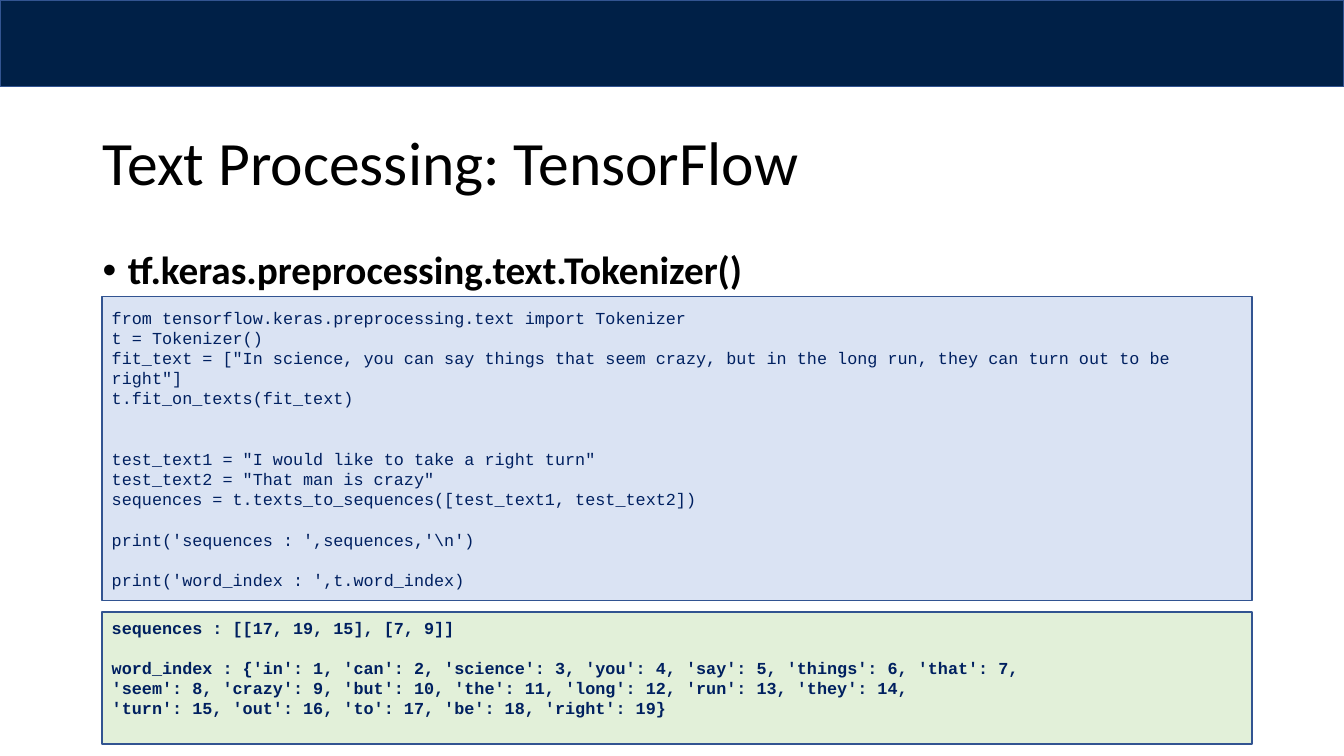
from lxml.etree import SubElement
from pptx import Presentation
from pptx.dml.color import RGBColor
from pptx.enum.shapes import MSO_SHAPE
from pptx.enum.text import MSO_ANCHOR, PP_ALIGN
from pptx.oxml.ns import qn
from pptx.util import Inches, Pt

COLORS = {"band": "002047", "line": "325491", "code": "DAE3F3",
          "output": "E2F0D9", "ink": "002060", "black": "000000"}
WIDTH, HEIGHT = 13.33, 7.5
LEFT, BOX_LEFT, BOX_WIDTH = 0.92, 1.01, 11.41
LINE = 14.4  # height of one code line in points

# Each line of code: (blank lines above, text)
CODE = [
    (0, "from tensorflow.keras.preprocessing.text import Tokenizer"),
    (0, "t = Tokenizer()"),
    (0, 'fit_text = ["In science, you can say things that seem crazy, '
        'but in the long run, they can turn out to be right"]'),
    (0, "t.fit_on_texts(fit_text)"),
    (2, 'test_text1 = "I would like to take a right turn"'),
    (0, 'test_text2 = "That man is crazy"'),
    (0, "sequences = t.texts_to_sequences([test_text1, test_text2])"),
    (1, r"print('sequences : ',sequences,'\n')"),
    (1, "print('word_index : ',t.word_index)"),
]
OUTPUT = [
    (0, "sequences : [[17, 19, 15], [7, 9]]"),
    (1, "word_index : {'in': 1, 'can': 2, 'science': 3, 'you': 4, "
        "'say': 5, 'things': 6, 'that': 7,"),
    (0, "'seem': 8, 'crazy': 9, 'but': 10, 'the': 11, 'long': 12, "
        "'run': 13, 'they': 14,"),
    (0, "'turn': 15, 'out': 16, 'to': 17, 'be': 18, 'right': 19}"),
]


def add_box(left, top, width, height, fill):
    sp = s.shapes.add_shape(MSO_SHAPE.RECTANGLE, Inches(left), Inches(top),
                            Inches(width), Inches(height))
    sp.shadow.inherit = False
    sp.fill.solid()
    sp.fill.fore_color.rgb = RGBColor.from_string(COLORS[fill])
    sp.line.color.rgb = RGBColor.from_string(COLORS["line"])
    sp.line.width = Pt(1)
    return sp


def style(p, font, size, color, bold=False):
    p.alignment = PP_ALIGN.LEFT
    for r in p.runs:
        r.font.name = font
        r.font.size = Pt(size)
        r.font.bold = bold
        r.font.color.rgb = RGBColor.from_string(COLORS[color])


prs = Presentation()
prs.slide_width, prs.slide_height = Inches(WIDTH), Inches(HEIGHT)
s = prs.slides.add_slide(prs.slide_layouts[5])

# Header band
add_box(0, 0, WIDTH, 0.86, "band")

# Title
title = s.shapes.title
title.left, title.top = Inches(LEFT), Inches(0.92)
title.width, title.height = Inches(11.5), Inches(1.45)
tf = title.text_frame
tf.text = "Text Processing: TensorFlow"
tf.vertical_anchor = MSO_ANCHOR.MIDDLE
tf.paragraphs[0].line_spacing = 0.9
style(tf.paragraphs[0], "Calibri", 44, "black")

# Bulleted function name
tf = s.shapes.add_textbox(Inches(LEFT), Inches(2.44),
                          Inches(11.5), Inches(0.54)).text_frame
tf.word_wrap = True
p = tf.paragraphs[0]
p.text = "tf.keras.preprocessing.text.Tokenizer()"
p.line_spacing = 0.9
pPr = p._p.get_or_add_pPr()
pPr.set("marL", str(Inches(0.25)))
pPr.set("indent", str(-Inches(0.25)))
SubElement(pPr, qn("a:buFont"), typeface="Arial")
SubElement(pPr, qn("a:buChar"), char="•")
style(p, "Calibri", 28, "black", bold=True)

# Code and its output
for top, height, fill, lines, bold, bottom in (
        (2.94, 3.02, "code", CODE, False, 0.05),
        (6.07, 1.31, "output", OUTPUT, True, 0.25)):
    tf = add_box(BOX_LEFT, top, BOX_WIDTH, height, fill).text_frame
    tf.word_wrap = True
    tf.vertical_anchor = MSO_ANCHOR.MIDDLE
    tf.margin_bottom = Inches(bottom)
    tf.text = "\n".join(text for _, text in lines)
    for p, (blank, _) in zip(tf.paragraphs, lines):
        if blank:
            p.space_before = Pt(blank * LINE)
        style(p, "Courier New", 12, "ink", bold)

prs.save("out.pptx")
